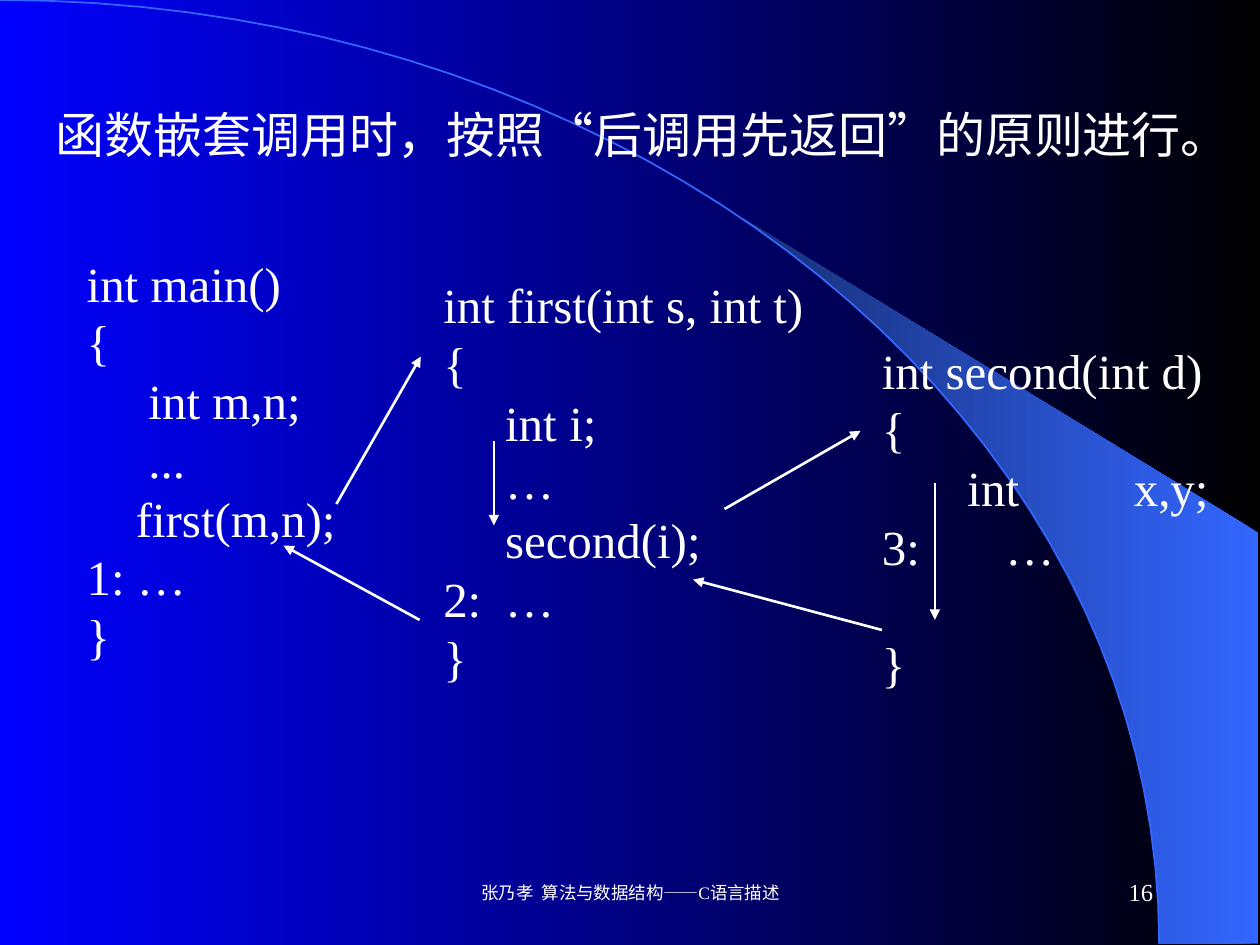
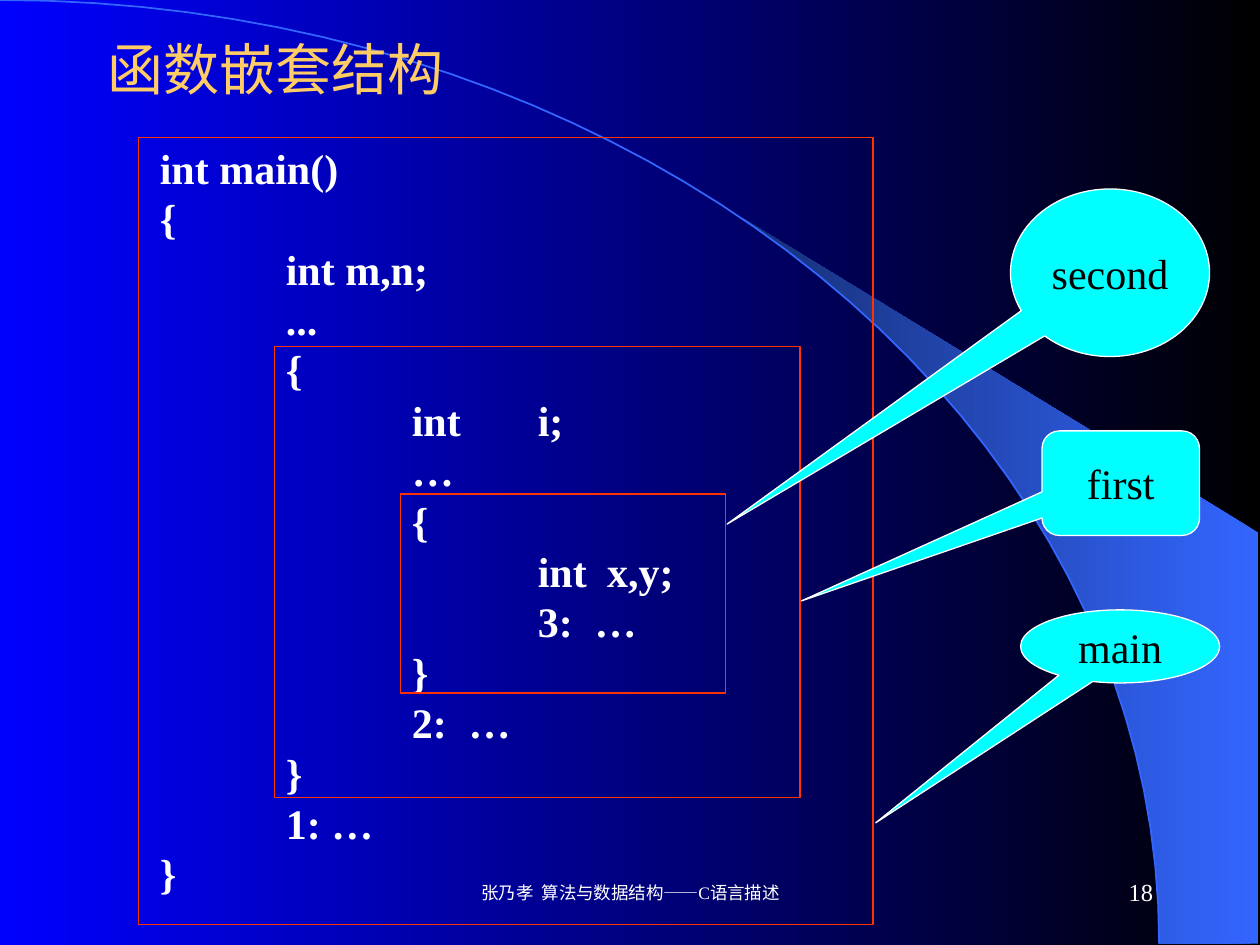
import itertools

import lxml.etree
import pptx
import pptx.dml.color
import pptx.enum.shapes
import pptx.enum.text
import pptx.oxml.ns
import pptx.util

Inches = pptx.util.Inches
Pt = pptx.util.Pt
RGBColor = pptx.dml.color.RGBColor
qn = pptx.oxml.ns.qn
SHAPE = pptx.enum.shapes.MSO_SHAPE
ALIGN = pptx.enum.text.PP_ALIGN
MIDDLE = pptx.enum.text.MSO_ANCHOR.MIDDLE

BLACK = RGBColor(0x00, 0x00, 0x00)
BLUE = RGBColor(0x00, 0x00, 0xFF)
SKY = RGBColor(0x33, 0x66, 0xFF)
NAVY = RGBColor(0x17, 0x2F, 0x75)
WHITE = RGBColor(0xFF, 0xFF, 0xFF)
GOLD = RGBColor(0xFF, 0xCC, 0x66)
RED = RGBColor(0xFF, 0x33, 0x00)
CYAN = RGBColor(0x00, 0xFF, 0xFF)

FONT = "Times New Roman"
FOOTER = "张乃孝  算法与数据结构——C语言描述"
THIN = Pt(0.75)
LEADING = 1.2


def inches(box):
    """Turn plain numbers into lengths."""
    return [Inches(n) for n in box]


def style(para, size, color, bold=False):
    """Format every run of a paragraph."""
    for run in para.runs:
        run.font.name = FONT
        run.font.size = Pt(size)
        run.font.bold = bold
        run.font.color.rgb = color


def blend(fill, first, last):
    """Fill with a gradient that runs from right to left."""
    fill.gradient()
    fill.gradient_angle = 180
    for stop, color, place in zip(fill.gradient_stops, (first, last), (0, 1)):
        stop.color.rgb = color
        stop.position = place


def curve(steps=40):
    """Points of the quarter arc, a cubic from top left to bottom right."""
    nodes = ((0, 0), (5.08, 0), (9.2, 3.35), (9.2, 7.49))
    points = []
    for step in range(steps + 1):
        t = step / steps
        parts = ((1 - t) ** 3, 3 * t * (1 - t) ** 2, 3 * t * t * (1 - t), t ** 3)
        points.append(tuple(sum(w * node[axis] for w, node in zip(parts, nodes))
                            for axis in (0, 1)))
    return points


def outline(slide, points, close):
    """Draw a freeform through the points."""
    points = [inches(point) for point in points]
    pen = slide.shapes.build_freeform(*points[0], scale=1.0)
    pen.add_line_segments(points[1:], close=close)
    shape = pen.convert_to_shape()
    shape.shadow.inherit = False
    return shape


def backdrop(master, slide):
    """Give the master its gradient, fan and arc, drawn by way of a slide."""
    blend(master.background.fill, BLACK, BLUE)
    arc = curve()
    peak = (5.89, 1.73)
    edge = [point for point in arc if point[0] > peak[0]]
    fan = outline(slide, [peak, *edge, (9.99, 7.49), (9.99, 4.23)], True)
    blend(fan.fill, SKY, NAVY)
    fan.line.fill.background()
    rim = outline(slide, arc, False)
    rim.fill.background()
    rim.line.color.rgb = SKY
    rim.line.width = Pt(1)
    for shape in (fan, rim):
        master.element.cSld.spTree.append(shape.element)


def heading(slide, box, text, size, color):
    """Place and format the title."""
    title = slide.shapes.title
    title.left, title.top, title.width, title.height = inches(box)
    frame = title.text_frame
    frame.text = text
    frame.auto_size = pptx.enum.text.MSO_AUTO_SIZE.NONE
    frame.word_wrap = False
    frame.vertical_anchor = MIDDLE
    frame.paragraphs[0].alignment = ALIGN.LEFT
    style(frame.paragraphs[0], size, color)


def footer(slide, number):
    """Add the course line and the slide number."""
    top, height = 6.83, 0.5
    for left, width, text, size, align in (
            (3.42, 3.17, FOOTER, 10, ALIGN.CENTER),
            (7.17, 2.08, str(number), 14, ALIGN.RIGHT)):
        area = slide.shapes.add_textbox(*inches((left, top, width, height)))
        frame = area.text_frame
        frame.text = text
        frame.word_wrap = True
        frame.vertical_anchor = MIDDLE
        frame.paragraphs[0].alignment = align
        style(frame.paragraphs[0], size, WHITE)


def listing(slide, box, lines, size, bold=False):
    """Set code; a line is its text, tab stops and count of lines skipped."""
    frame = slide.shapes.add_textbox(*inches(box)).text_frame
    frame.word_wrap = False
    for index, (text, stops, skip) in enumerate(lines):
        para = frame.add_paragraph() if index else frame.paragraphs[0]
        para.text = text
        para.line_spacing = Pt(size * LEADING)
        if skip:
            para.space_before = Pt(size * LEADING * skip)
        style(para, size, WHITE, bold)
        if stops:
            tabs = lxml.etree.SubElement(para._p.get_or_add_pPr(), qn("a:tabLst"))
            for stop in stops:
                lxml.etree.SubElement(tabs, qn("a:tab"),
                                      pos=str(Inches(stop)), algn="l")


def arrow(slide, start, end):
    """Draw a white arrow."""
    link = slide.shapes.add_connector(
        pptx.enum.shapes.MSO_CONNECTOR.STRAIGHT, *inches(start + end))
    link.line.color.rgb = WHITE
    link.line.width = Pt(1.5)
    props = link.element.spPr
    lxml.etree.SubElement(props.find(qn("a:ln")), qn("a:tailEnd"), type="triangle")
    lxml.etree.SubElement(props, qn("a:effectLst"))


def frame_box(slide, box):
    """Outline one scope in red."""
    shape = slide.shapes.add_shape(SHAPE.RECTANGLE, *inches(box))
    shape.shadow.inherit = False
    shape.fill.background()
    shape.line.color.rgb = RED
    shape.line.width = THIN


def callout(slide, kind, box, tip, text):
    """Add a named balloon whose tail ends at the tip."""
    shape = slide.shapes.add_shape(kind, *inches(box))
    left, top, width, height = box
    shape.adjustments[0] = (tip[0] - left) / width - 0.5
    shape.adjustments[1] = (tip[1] - top) / height - 0.5
    shape.shadow.inherit = False
    shape.fill.solid()
    shape.fill.fore_color.rgb = CYAN
    shape.line.color.rgb = WHITE
    shape.line.width = THIN
    frame = shape.text_frame
    frame.text = text
    frame.word_wrap = False
    frame.vertical_anchor = MIDDLE
    frame.paragraphs[0].alignment = ALIGN.CENTER
    style(frame.paragraphs[0], 24, BLACK)


def calls(slide):
    """Show three functions and the arrows of call and return."""
    heading(slide, (0.34, 0.78, 9.52, 0.57),
            "函数嵌套调用时，按照“后调用先返回”的原则进行。", 28, WHITE)
    step = (0.49, 1)
    listing(slide, (0.59, 1.96, 2.5, 3.37), [
        ("int main()", (), 0), ("{", (), 0), ("\tint m,n;", step, 0),
        ("\t...", step, 0), ("\tfirst(m,n);", (0.39,), 0),
        ("1: …", (), 0), ("}", (), 0)], 28)
    listing(slide, (3.42, 2.13, 3.06, 3.37), [
        ("int first(int s, int t)", (), 0), ("{", (), 0),
        ("\tint\ti;", step, 0), ("\t…", step, 0), ("\tsecond(i);", step, 0),
        ("2:\t…", step, 0), ("}", (), 0)], 28)
    listing(slide, (6.9, 2.65, 2.79, 2.9), [
        ("int second(int d)", (), 0), ("{", (), 0),
        ("\tint\tx,y;", (0.68, 2), 0), ("3:\t…", (0.98,), 0),
        ("}", (), 1)], 28)
    for start, end in (
            ((7.42, 3.83), (7.42, 4.92)), ((2.67, 4), (3.34, 2.83)),
            ((3.92, 3.5), (3.92, 4.17)), ((5.75, 4.04), (6.83, 3.42)),
            ((7, 5), (5.5, 4.6)), ((3.33, 4.92), (2.25, 4.33))):
        arrow(slide, start, end)


def scopes(slide):
    """Show the nested scopes with a balloon for each."""
    heading(slide, (0.75, 0.25, 8.5, 0.58), "函数嵌套结构", 32, GOLD)
    code = ((0, "int main()"), (0, "{"), (1, "int m,n;"), (1, "..."), (1, "{"),
            (2, "int\ti;"), (2, "…"), (2, "{"), (3, "int\tx,y;"), (3, "3:\t…"),
            (2, "}"), (2, "2:\t…"), (1, "}"), (1, "1: …"), (0, "}"))
    gaps = {"int\ti;": 1, "int\tx,y;": 0.55, "3:\t…": 0.45, "2:\t…": 0.45}
    lines = []
    for depth, text in code:
        stops = list(itertools.chain(range(1, depth + 1),
                                     [depth + gaps[text]] if text in gaps else []))
        lines.append(("\t" * depth + text, stops, 0))
    listing(slide, (1.17, 1.08, 8.08, 6.1), lines, 24, True)
    for box in ((3.18, 3.92, 2.58, 1.58), (2.18, 2.75, 4.17, 3.58),
                (1.1, 1.09, 5.83, 6.25)):
        frame_box(slide, box)
    oval = SHAPE.OVAL_CALLOUT
    callout(slide, SHAPE.ROUNDED_RECTANGULAR_CALLOUT,
            (8.27, 3.42, 1.25, 0.83), (6.36, 4.77), "first")
    callout(slide, oval, (8.1, 4.84, 1.58, 0.58), (6.95, 6.53), "main")
    callout(slide, oval, (8.02, 1.5, 1.58, 1.33), (5.77, 4.16), "second")


def main():
    """Build and save the slides."""
    deck = pptx.Presentation()
    deck.slide_width, deck.slide_height = Inches(10), Inches(7.5)
    layout = deck.slide_layouts[5]
    for number, build in ((16, calls), (18, scopes)):
        slide = deck.slides.add_slide(layout)
        if number == 16:
            backdrop(deck.slide_master, slide)
        build(slide)
        footer(slide, number)
    deck.save("out.pptx")


main()
